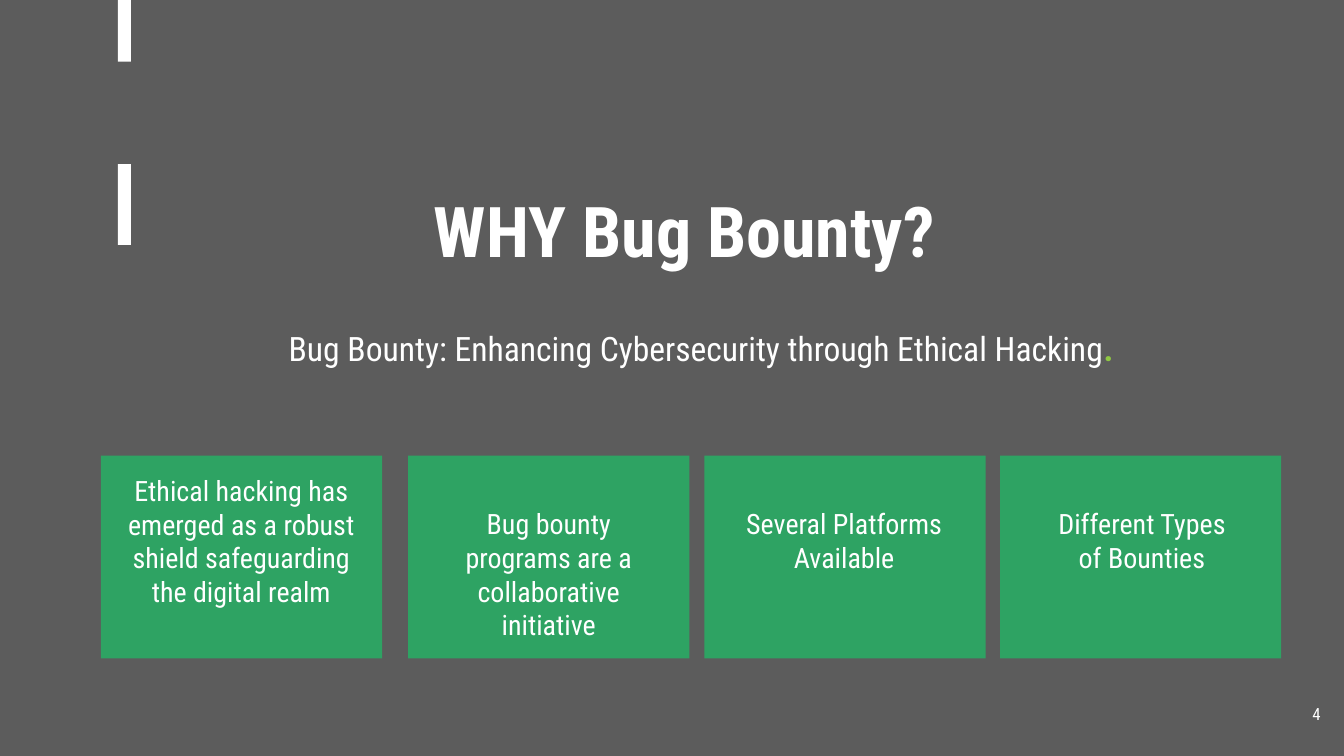
"""Build the slide on why bug bounty programs matter."""
from pptx import Presentation
from pptx import util as u
from pptx.dml.color import RGBColor
from pptx.enum import shapes, text

WHITE, GREEN, LIME, GREY = "FFFFFF", "2EA363", "8FC843", "5C5C5C"


def paint(fill, color):
    """Give a fill one solid colour."""
    fill.solid()
    fill.fore_color.rgb = RGBColor.from_string(color)


def write(shape, content, size=20, color=WHITE, bold=False, align="CENTER",
          anchor="TOP", inset=3.6, spacing=1.0):
    """Append one formatted run to the first paragraph of a shape."""
    frame = shape.text_frame
    frame.word_wrap = True
    frame.auto_size = text.MSO_AUTO_SIZE.NONE
    frame.vertical_anchor = text.MSO_ANCHOR[anchor]
    frame.margin_left = frame.margin_right = u.Pt(7.2)
    frame.margin_top = frame.margin_bottom = u.Pt(inset)
    paragraph = frame.paragraphs[0]
    paragraph.alignment = text.PP_ALIGN[align]
    paragraph.line_spacing = spacing
    paragraph.space_before = u.Pt(0)
    run = paragraph.add_run()
    run.text = content
    run.font.name = "Roboto Condensed"
    run.font.size = u.Pt(size)
    run.font.bold = bold
    paint(run.font.fill, color)


presentation = Presentation()
presentation.slide_width = u.Pt(960)
presentation.slide_height = u.Pt(540)
slide = presentation.slides.add_slide(presentation.slide_layouts[0])
paint(slide.background.fill, GREY)

title, subtitle = slide.placeholders
title.left, title.top, title.width, title.height = map(u.Pt, (72, 125.3, 833.8, 75.6))
write(title, "WHY Bug Bounty?", size=50, bold=True, anchor="BOTTOM", inset=7.2)

subtitle.left, subtitle.top, subtitle.width, subtitle.height = map(u.Pt, (90, 221, 821.5, 85))
subtitle_format = {"size": 24, "inset": 7.2, "spacing": 1.2}
write(subtitle, "Bug Bounty: Enhancing Cybersecurity through Ethical Hacking", **subtitle_format)
write(subtitle, ".", color=LIME, bold=True, **subtitle_format)

number = slide.shapes.add_textbox(*map(u.Pt, (892.8, 495.4, 57.6, 28.8)))
write(number, "4", size=12, align="RIGHT", anchor="MIDDLE", inset=7.2)

CARD_TOP, CARD_WIDTH, CARD_HEIGHT = 325.5, 200.9, 144.7
cards = [
    (72, 79.9, 334.8, 185, "Ethical hacking has emerged as a robust shield safeguarding the digital realm"),
    (291.6, 307.4, 358.6, 169.2, "Bug bounty programs are a collaborative initiative"),
    (503.2, 522, 358.6, 162, "Several Platforms Available"),
    (714.3, 745.9, 358.6, 139.7, "Different Types of Bounties"),
]
blocks = [(84.2, 0, 9.4, 44, WHITE), (84.2, 117.3, 9.4, 57.6, WHITE)]
blocks += [(card[0], CARD_TOP, CARD_WIDTH, CARD_HEIGHT, GREEN) for card in cards]
for *box, color in blocks:
    block = slide.shapes.add_shape(shapes.MSO_SHAPE.RECTANGLE, *map(u.Pt, box))
    block.shadow.inherit = False
    paint(block.fill, color)
    block.line.fill.background()

for _, left, top, width, label in cards:
    caption = slide.shapes.add_textbox(*map(u.Pt, (left, top, width, 102)))
    write(caption, label)

presentation.save("out.pptx")
